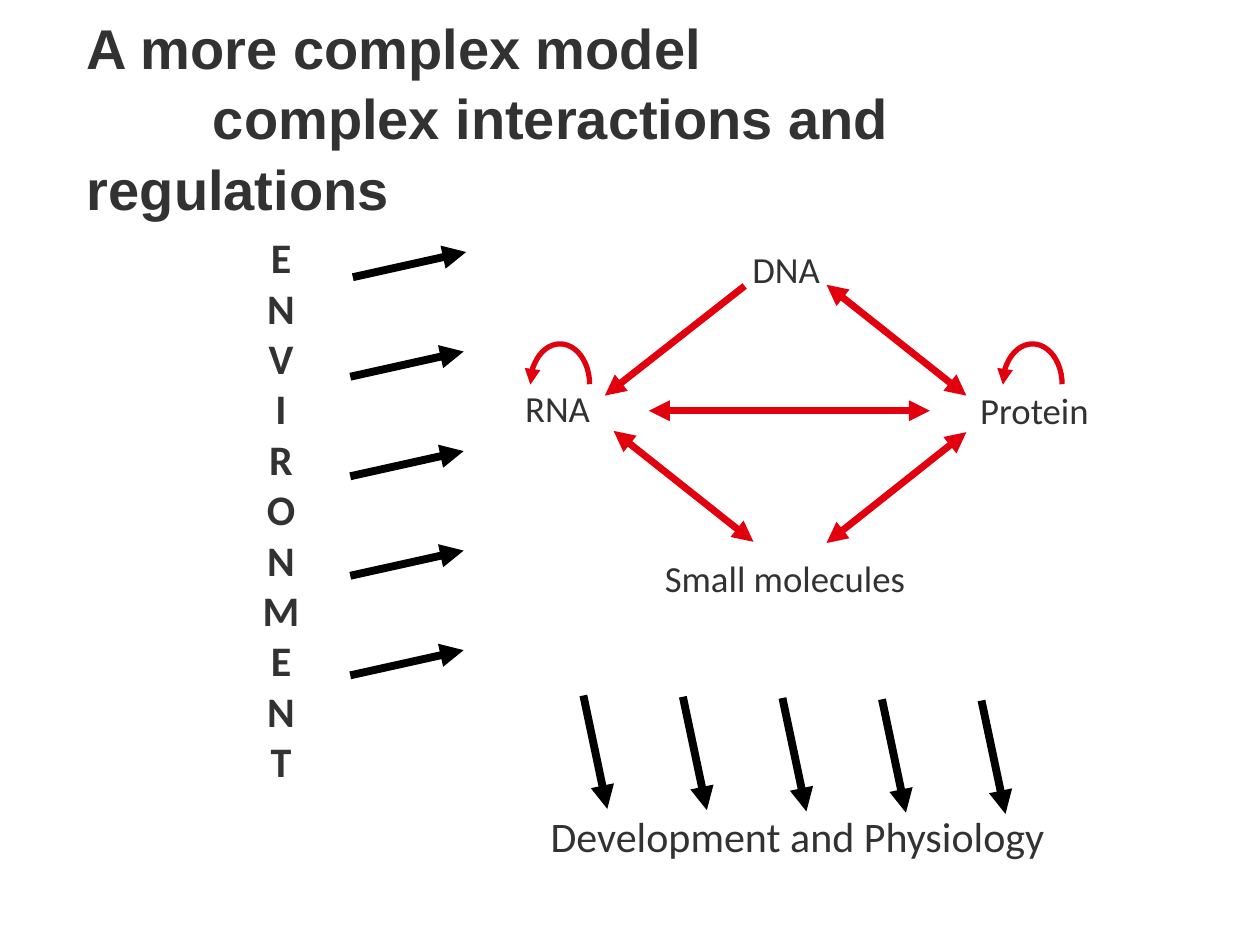
from dataclasses import dataclass
from lxml.etree import SubElement
from pptx import Presentation
from pptx.dml.color import RGBColor
from pptx.enum.shapes import MSO_CONNECTOR, MSO_SHAPE
from pptx.enum.text import MSO_ANCHOR, PP_ALIGN
from pptx.oxml.ns import qn
from pptx.util import Inches, Pt


@dataclass(frozen=True)
class Theme:
    ink: RGBColor = RGBColor(0x32, 0x32, 0x32)
    red: RGBColor = RGBColor(0xE2, 0x00, 0x0E)
    black: RGBColor = RGBColor(0, 0, 0)
    head: str = "Arial"
    body: str = "Calibri"
    title: int = 32
    large: int = 24
    label: int = 21


class Board:
    def __init__(self, slide, theme):
        self.slide = slide
        self.theme = theme

    def text(self, box, lines, size, font=None, bold=False, wrap=False,
             align=PP_ALIGN.CENTER, pitch=None):
        shape = self.slide.shapes.add_textbox(*map(Inches, box))
        frame = shape.text_frame
        frame.word_wrap = wrap
        frame.text = "\n".join(lines)
        for para in frame.paragraphs:
            para.alignment = align
            if pitch:
                para.line_spacing = pitch
            para.font.name = font or self.theme.body
            para.font.size = Pt(size)
            para.font.bold = bold
            para.font.color.rgb = self.theme.ink
        return frame

    def title(self, box, lines):
        frame = self.text(box, lines, self.theme.title, self.theme.head, True,
                          True, PP_ALIGN.LEFT, 1.05)
        frame.vertical_anchor = MSO_ANCHOR.MIDDLE
        frame.margin_left = frame.margin_right = 0
        frame.margin_top = frame.margin_bottom = 0
        props = frame.paragraphs[-1]._p.get_or_add_pPr()
        props.set("marL", "0")
        props.set("indent", str(Inches(1)))

    def stroke(self, shape, color, width, ends):
        """Style a line; ends lists headEnd and/or tailEnd, in that order."""
        shape.line.color.rgb = color
        shape.line.width = Pt(width)
        for end in ends:
            SubElement(shape.line._get_or_add_ln(), qn(f"a:{end}"), type="triangle")

    def arrow(self, start, stop, color, width, both=False):
        line = self.slide.shapes.add_connector(
            MSO_CONNECTOR.STRAIGHT, *map(Inches, (*start, *stop)))
        ends = ["headEnd", "tailEnd"] if both else ["tailEnd"]
        self.stroke(line, color, width, ends)
        SubElement(line._element.spPr, qn("a:effectLst"))

    def loop(self, box):
        arc = self.slide.shapes.add_shape(MSO_SHAPE.ARC, *map(Inches, box))
        arc.adjustments[0] = 107.49
        arc.adjustments[1] = 0
        arc.shadow.inherit = False
        arc.fill.background()
        self.stroke(arc, self.theme.red, 3, ["headEnd"])


def main():
    deck = Presentation()
    deck.slide_width, deck.slide_height = Inches(10), Inches(7.5)
    theme = Theme()
    board = Board(deck.slides.add_slide(deck.slide_layouts[6]), theme)

    labels = [
        ("RNA", (3.94, 3.01, 0.97, 0.45), theme.label),
        ("DNA", (5.82, 1.91, 0.84, 0.45), theme.label),
        ("Small molecules", (4.94, 4.36, 2.58, 0.45), theme.label),
        ("Protein", (7.6, 3.03, 1.22, 0.45), theme.label),
        ("Development and Physiology", (3.8, 6.38, 5.06, 0.5), theme.large),
    ]
    for words, box, size in labels:
        board.text(box, [words], size)

    links = [
        ((6.56, 2.26), (7.67, 3.14), True),
        ((6.56, 4.31), (7.67, 3.43), True),
        ((4.87, 3.42), (5.98, 4.3), True),
        ((5.91, 2.27), (4.8, 3.14), False),
        ((5.15, 3.26), (7.38, 3.26), True),
    ]
    for start, stop, both in links:
        board.arrow(start, stop, theme.red, 4, both)
    for left in (7.96, 4.21):
        board.loop((left, 2.73, 0.47, 0.64))

    board.text((1.97, 1.79, 0.52, 4.5), "ENVIRONMENT", theme.large,
               bold=True, pitch=Pt(28.8))
    board.title((0.69, 0.38, 8.62, 1.08),
                ["A more complex model", "complex interactions and regulations"])

    step = 0.79
    for i in range(5):
        x, y = 2.8 if i == 0 else 2.78, 2.2 + i * step
        board.arrow((x, y), (x + 0.9, y - 0.2), theme.black, 4.5)
        x, y = 4.63 + i * step, 5.52 + i * 0.01
        board.arrow((x, y), (x + 0.19, y + 0.9), theme.black, 4.5)

    deck.save("out.pptx")


if __name__ == "__main__":
    main()
